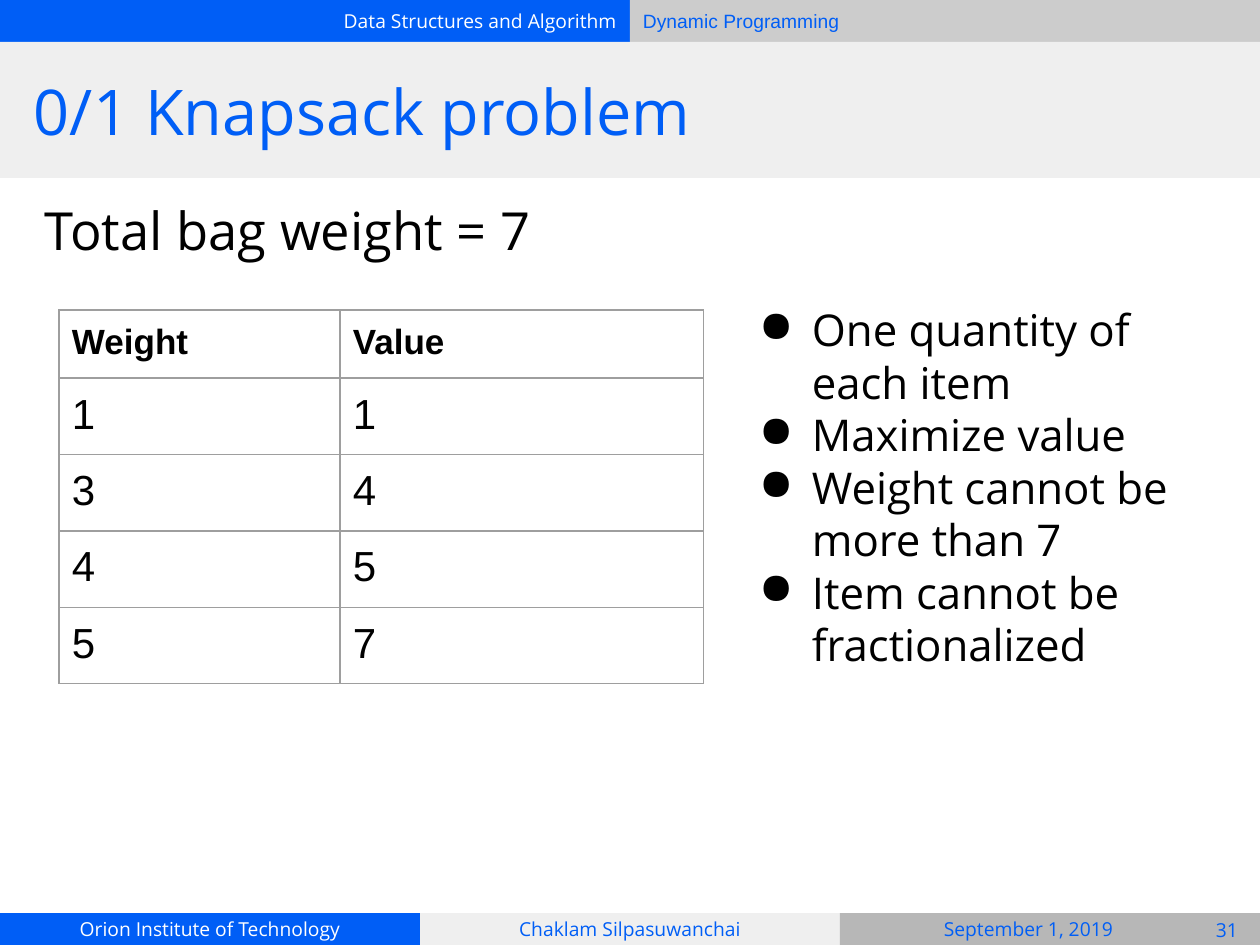
"""Build the 0/1 Knapsack problem slide of a dynamic programming lecture."""
from lxml import etree
from pptx import Presentation
from pptx.dml.color import RGBColor
from pptx.enum.shapes import MSO_SHAPE
from pptx.enum.text import MSO_ANCHOR, PP_ALIGN
from pptx.oxml import parse_xml
from pptx.util import Emu, Pt

RECTANGLE = MSO_SHAPE.RECTANGLE
TOP, MIDDLE = MSO_ANCHOR.TOP, MSO_ANCHOR.MIDDLE
LEFT, CENTER, RIGHT = PP_ALIGN.LEFT, PP_ALIGN.CENTER, PP_ALIGN.RIGHT
DRAWING = "http://schemas.openxmlformats.org/drawingml/2006/main"
BLUE, WHITE, BLACK, PALE = "005EF6", "FFFFFF", "000000", "EFEFEF"
SANS = "Open Sans"
INSET = 13


def px(length):
    return Emu(round(length * 914400 / 126))


def add_block(box, lines, size=11, color=BLUE, fill=None, align=CENTER,
              anchor=MIDDLE, font=SANS, inset=INSET):
    left, top, width, height = map(px, box)
    if fill:
        block = slide.shapes.add_shape(RECTANGLE, left, top, width, height)
        block.shadow.inherit = False
        block.fill.solid()
        block.fill.fore_color.rgb = RGBColor.from_string(fill)
        block.line.fill.background()
    else:
        block = slide.shapes.add_textbox(left, top, width, height)
    frame = block.text_frame
    frame.word_wrap = True
    frame.vertical_anchor = anchor
    frame.margin_left = frame.margin_right = px(INSET)
    frame.margin_top = frame.margin_bottom = px(inset)
    frame.text = "\n".join(lines)
    for paragraph in frame.paragraphs:
        paragraph.alignment = align
        paragraph.font.size = Pt(size)
        paragraph.font.name = font
        paragraph.font.color.rgb = RGBColor.from_string(color)
    return frame.paragraphs


prs = Presentation()
prs.slide_width, prs.slide_height = px(1260), px(945)
slide = prs.slides.add_slide(prs.slide_layouts[6])

add_block((0, 0, 630, 42), ["Data Structures and Algorithm"],
          color=WHITE, fill=BLUE, align=RIGHT)
add_block((630, 0, 630, 42), ["Dynamic Programming"],
          fill="CCCCCC", align=LEFT, font="Arial")

footer = [
    ("Orion Institute of Technology", WHITE, BLUE),
    ("Chaklam Silpasuwanchai", BLUE, PALE),
    ("", BLUE, "B7B7B7"),
]
for column, (label, color, fill) in enumerate(footer):
    add_block((420 * column, 913, 420, 32), [label], color=color, fill=fill)
add_block((850, 913, 357, 32), ["September 1, 2019"])
add_block((1194, 915, 66, 30), ["31"])

add_block((0, 42, 1260, 136), [""], fill=PALE)
add_block((21, 42, 1218, 136), ["0/1 Knapsack problem"], size=36, align=LEFT)

capacity = add_block((32, 199, 1207, 640), ["Total bag weight = 7"], size=30,
                     color=BLACK, align=LEFT, anchor=TOP, inset=6)[0]
capacity.line_spacing = 0.9
capacity.space_before = Pt(3.8)

items = [("Weight", "Value"), ("1", "1"), ("3", "4"), ("4", "5"), ("5", "7")]
item_table = slide.shapes.add_table(
    len(items), 2, px(59), px(310), px(645), px(352)).table
for column, width in zip(item_table.columns, (281, 364)):
    column.width = px(width)
for row, values in enumerate(items):
    item_table.rows[row].height = px(72 if row else 64)
    for column, value in enumerate(values):
        cell = item_table.cell(row, column)
        cell.text = value
        cell.fill.background()
        cell.margin_left = cell.margin_right = px(INSET)
        cell.margin_top = cell.margin_bottom = px(INSET)
        font = cell.text_frame.paragraphs[0].font
        font.name = "Arial"
        font.size = Pt(24 if row else 20)
        font.bold = row == 0
        font.color.rgb = RGBColor.from_string(BLACK)
        properties = cell._tc.get_or_add_tcPr()
        for position, side in enumerate(("lnL", "lnR", "lnT", "lnB")):
            properties.insert(position, parse_xml(
                f'<a:{side} xmlns:a="{DRAWING}" w="{Pt(0.75)}"><a:solidFill>'
                f'<a:srgbClr val="9E9E9E"/></a:solidFill></a:{side}>'))

rules = [
    "One quantity of each item",
    "Maximize value",
    "Weight cannot be more than 7",
    "Item cannot be fractionalized",
]
for rule in add_block((736, 290, 481, 428), rules, size=25, color=BLACK,
                      align=LEFT, anchor=TOP):
    properties = rule._p.get_or_add_pPr()
    properties.set("marL", str(px(63)))
    properties.set("indent", str(px(-53)))
    bullet_color = etree.Element(f"{{{DRAWING}}}buClr")
    etree.SubElement(bullet_color, f"{{{DRAWING}}}srgbClr", val=BLACK)
    bullet = etree.Element(f"{{{DRAWING}}}buChar", char="●")
    properties.insert(0, bullet_color)
    properties.insert(1, bullet)

prs.save("out.pptx")
